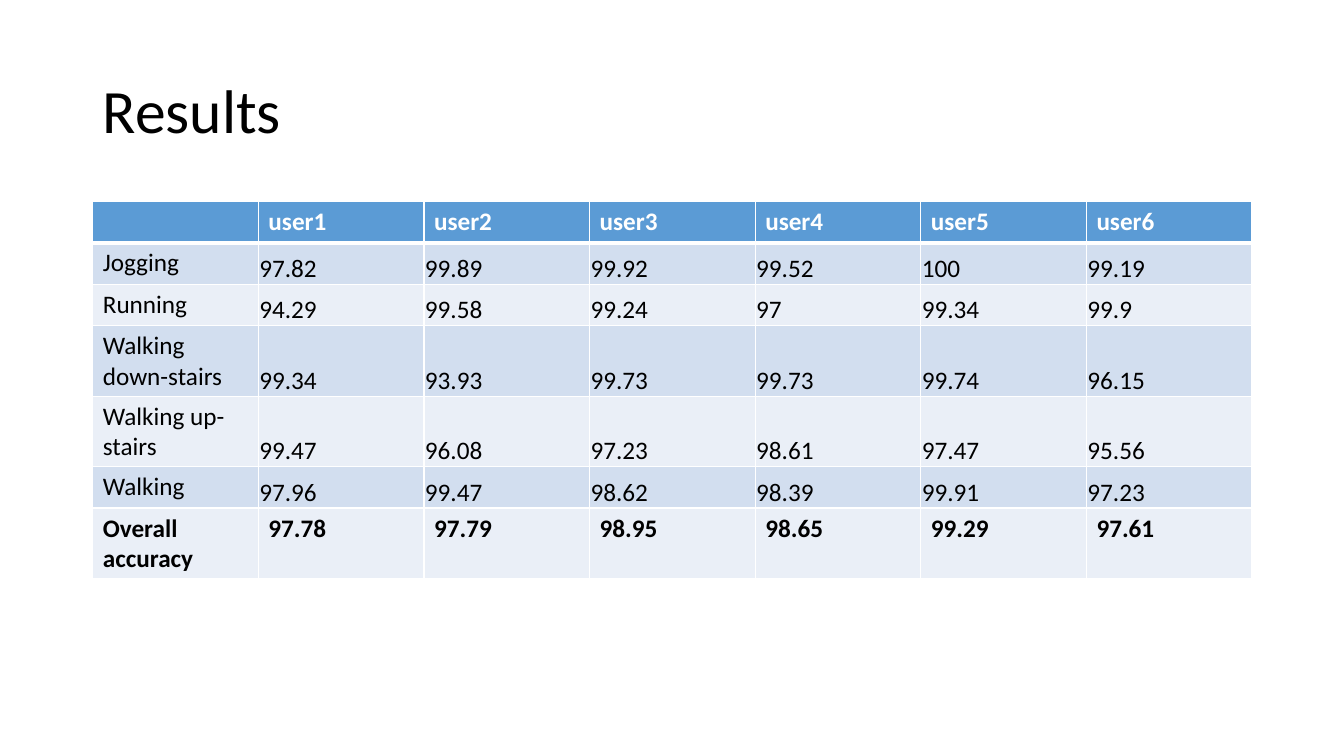
from dataclasses import dataclass

from lxml.etree import SubElement
from pptx import Presentation
from pptx.dml.color import RGBColor
from pptx.enum.text import MSO_ANCHOR
from pptx.oxml.ns import qn
from pptx.slide import Slide
from pptx.table import Table, _Cell
from pptx.text.text import _Paragraph
from pptx.util import Inches, Pt

FONT = "Calibri"
BLACK = "000000"
WHITE = "FFFFFF"
HEADER_BLUE = "5B9BD5"
BAND_COLORS = ("D2DEEF", "EAEFF7")


@dataclass(frozen=True)
class ResultRow:
    """One table row with its label, its values and its look."""

    label: str
    values: tuple[str, ...]
    bold: bool = False
    compact: bool = False


HEADER = ResultRow("", tuple(f"user{number}" for number in range(1, 7)), bold=True)
ACTIVITIES = (
    ResultRow("Jogging", ("97.82", "99.89", "99.92", "99.52", "100", "99.19"), compact=True),
    ResultRow("Running", ("94.29", "99.58", "99.24", "97", "99.34", "99.9"), compact=True),
    ResultRow("Walking down-stairs", ("99.34", "93.93", "99.73", "99.73", "99.74", "96.15"), compact=True),
    ResultRow("Walking up-stairs", ("99.47", "96.08", "97.23", "98.61", "97.47", "95.56"), compact=True),
    ResultRow("Walking", ("97.96", "99.47", "98.62", "98.39", "99.91", "97.23"), compact=True),
)
OVERALL = ResultRow("Overall accuracy", ("97.78", "97.79", "98.95", "98.65", "99.29", "97.61"), bold=True)
ROWS = (HEADER, *ACTIVITIES, OVERALL)


def rgb(color: str) -> RGBColor:
    """Turn a hex string into a colour."""
    return RGBColor.from_string(color)


def add_run(paragraph: _Paragraph, text: str, size: int, color: str, bold: bool = False) -> None:
    """Add one formatted run to a paragraph."""
    run = paragraph.add_run()
    run.text = text
    run.font.name = FONT
    run.font.size = Pt(size)
    run.font.bold = bold
    run.font.color.rgb = rgb(color)


def add_title(slide: Slide, text: str) -> None:
    """Add the slide title."""
    shape = slide.shapes.add_textbox(Inches(0.92), Inches(0.4), Inches(11.5), Inches(1.45))
    frame = shape.text_frame
    frame.word_wrap = True
    frame.vertical_anchor = MSO_ANCHOR.MIDDLE
    paragraph = frame.paragraphs[0]
    paragraph.line_spacing = 0.9
    add_run(paragraph, text, 44, BLACK)


def set_borders(cell: _Cell, top: int, bottom: int) -> None:
    """Draw the white cell borders, with widths in points."""
    properties = cell._tc.get_or_add_tcPr()
    for side, width in (("L", 1), ("R", 1), ("T", top), ("B", bottom)):
        line = SubElement(properties, qn(f"a:ln{side}"), w=str(Pt(width)))
        fill = SubElement(line, qn("a:solidFill"))
        SubElement(fill, qn("a:srgbClr"), val=WHITE)


def fill_row(table: Table, index: int, row: ResultRow) -> None:
    """Write and format one table row."""
    is_header = index == 0
    background = HEADER_BLUE if is_header else BAND_COLORS[(index - 1) % 2]
    for column, text in enumerate((row.label, *row.values)):
        cell = table.cell(index, column)
        set_borders(cell, top=3 if index == 1 else 1, bottom=3 if is_header else 1)
        cell.fill.solid()
        cell.fill.fore_color.rgb = rgb(background)
        if row.compact and column > 0:
            cell.vertical_anchor = MSO_ANCHOR.BOTTOM
            cell.margin_left = cell.margin_right = cell.margin_top = Inches(0.01)
            cell.margin_bottom = Inches(0)
        if text:
            add_run(cell.text_frame.paragraphs[0], text, 18, WHITE if is_header else BLACK, row.bold)


def add_results_table(slide: Slide, rows: tuple[ResultRow, ...]) -> None:
    """Add the accuracy table, one column per user."""
    frame = slide.shapes.add_table(
        len(rows), len(HEADER.values) + 1, Inches(0.92), Inches(2), Inches(11.5), Inches(3.72)
    )
    table = frame.table
    table.horz_banding = False
    for index, row in enumerate(rows):
        table.rows[index].height = Inches(0.41)
        fill_row(table, index, row)
    frame.height = Inches(3.72)


def main() -> None:
    """Build and save the presentation."""
    presentation = Presentation()
    presentation.slide_width = Inches(13.33)
    presentation.slide_height = Inches(7.5)
    slide = presentation.slides.add_slide(presentation.slide_layouts[6])
    add_title(slide, "Results")
    add_results_table(slide, ROWS)
    presentation.save("out.pptx")


main()
